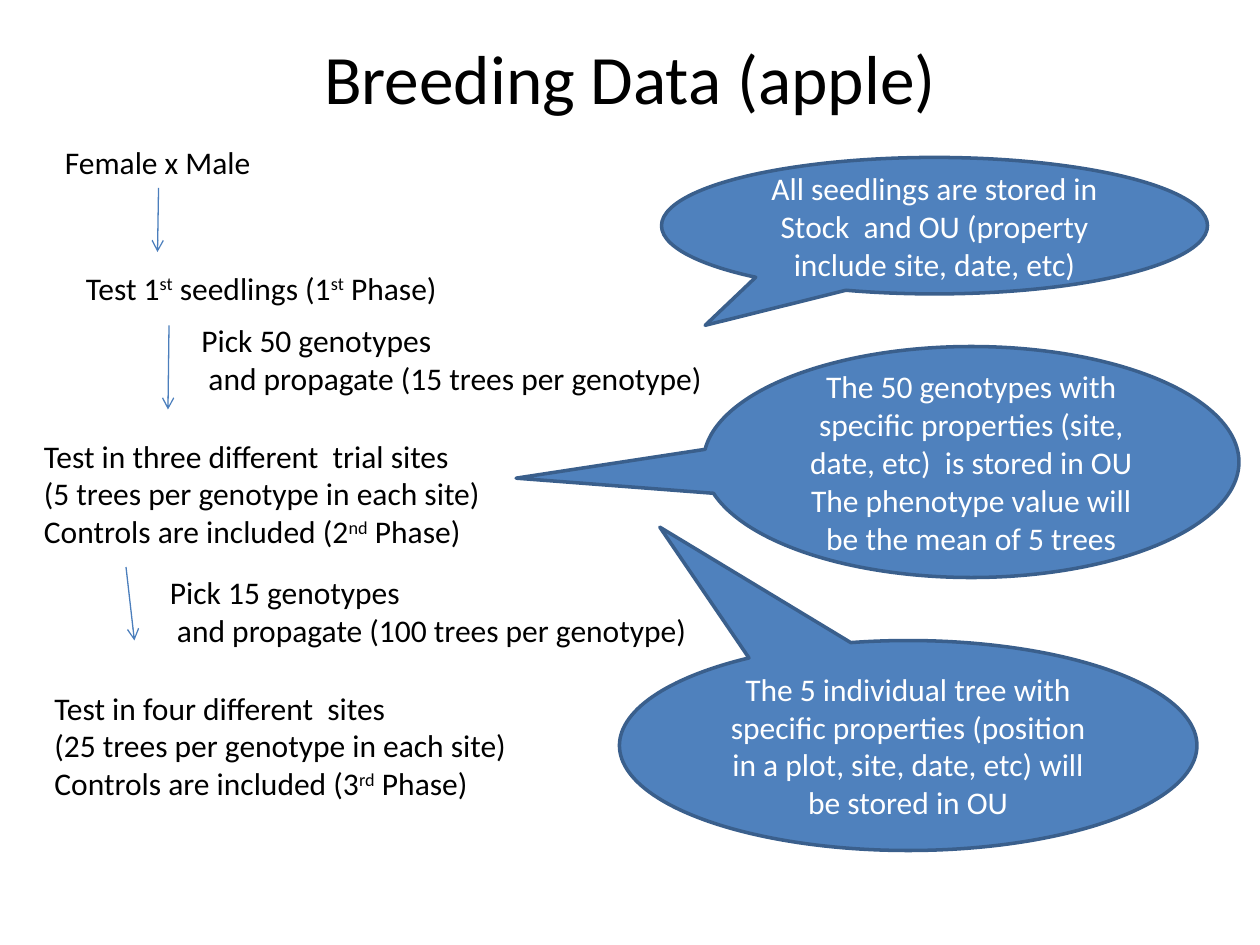
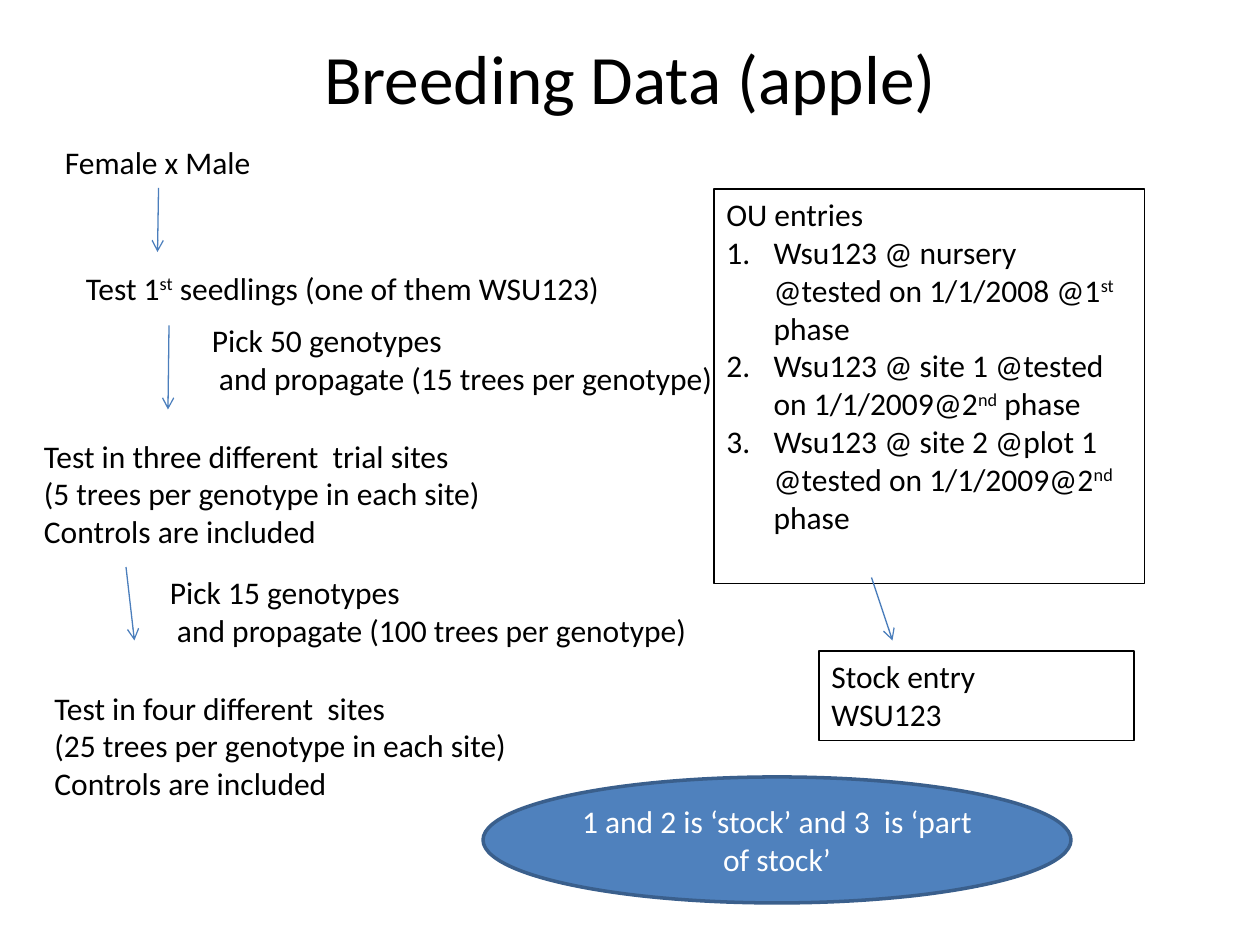
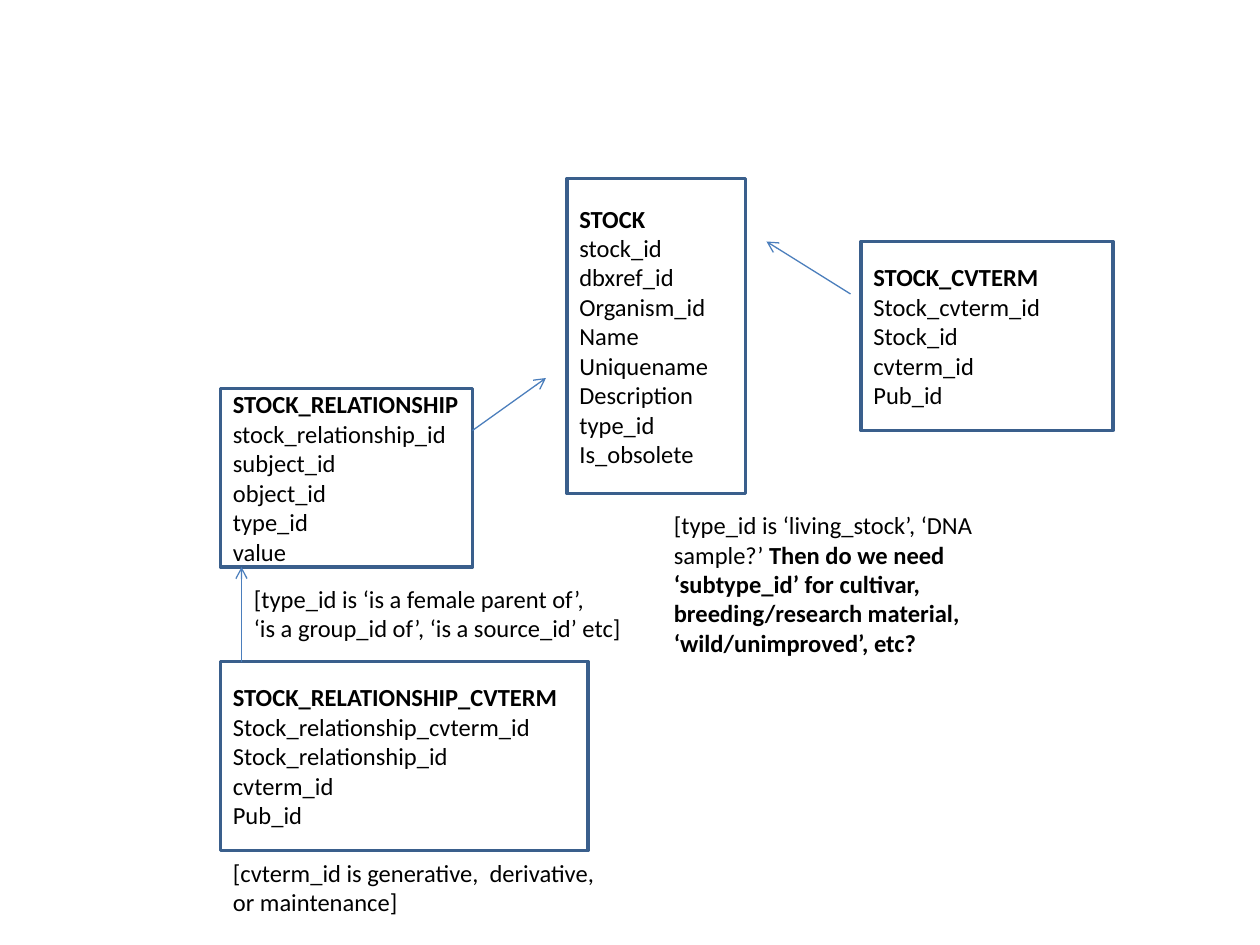
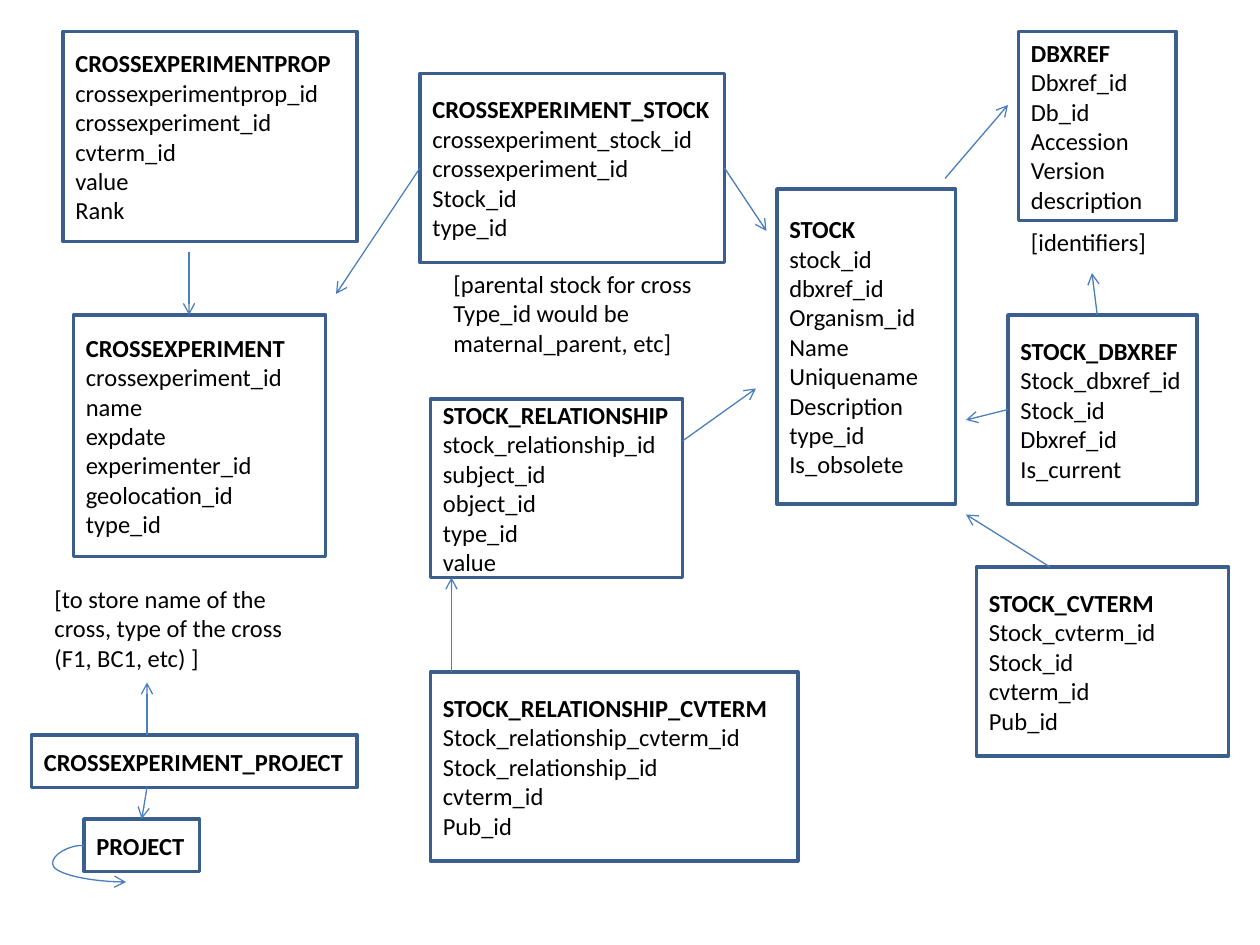
from pptx import Presentation, util as u
from pptx.dml.color import RGBColor
from pptx.enum import shapes, text
from pptx.oxml.ns import qn
from lxml import etree

PX = 7620  # 120 px to the inch
FONT = "Calibri"
BLACK = RGBColor(0x00, 0x00, 0x00)
WHITE = RGBColor(0xFF, 0xFF, 0xFF)
BLUE = RGBColor(0x4F, 0x81, 0xBD)
EDGE = RGBColor(0x3A, 0x5F, 0x8C)
ARROW = RGBColor(0x4B, 0x7E, 0xBC)
RAISED = ("baseline", "30000")
BOLD = ("b", "1")
OVAL = shapes.MSO_SHAPE.OVAL
CALLOUT = shapes.MSO_SHAPE.OVAL_CALLOUT
RECT = shapes.MSO_SHAPE.RECTANGLE
LINE = shapes.MSO_CONNECTOR.STRAIGHT
CURVE = shapes.MSO_CONNECTOR.CURVE


def put(slide, box, words, kind=None, size=18, mark=RAISED, wrap=True):
    """Add a text box, or a shape of the given kind; text between ^ signs gets the mark."""
    box = [n * PX for n in box]
    if kind is None:
        shape = slide.shapes.add_textbox(*box)
        ink, align = BLACK, text.PP_ALIGN.LEFT
    else:
        shape = slide.shapes.add_shape(kind, *box)
        shape.shadow.inherit = False
        shape.line.color.rgb = EDGE
        shape.line.width = u.Pt(2)
        shape.text_frame.vertical_anchor = text.MSO_ANCHOR.MIDDLE
        if kind == RECT:
            shape.fill.background()
            ink, align = BLACK, text.PP_ALIGN.LEFT
        else:
            shape.fill.solid()
            shape.fill.fore_color.rgb = BLUE
            ink, align = WHITE, text.PP_ALIGN.CENTER
    frame = shape.text_frame
    frame.word_wrap = wrap
    frame.text = words
    for para in frame.paragraphs:
        para.alignment = align
        parts = para.text.split("^")
        para.clear()
        for i, part in enumerate(parts):
            if not part:
                continue
            run = para.add_run()
            run.text = part
            run.font.name = FONT
            run.font.size = u.Pt(size)
            run.font.color.rgb = ink
            if i % 2:
                run._r.get_or_add_rPr().set(*mark)
    return shape


def arrow(slide, *ends, kind=LINE):
    line = slide.shapes.add_connector(kind, *[n * PX for n in ends])
    line.line.color.rgb = ARROW
    line.line.width = u.Pt(0.75)
    etree.SubElement(line.line._get_or_add_ln(), qn("a:tailEnd"), type="arrow")
    etree.SubElement(line._element.spPr, qn("a:effectLst"))
    return line


deck = Presentation()
deck.slide_width = 1200 * PX
deck.slide_height = 900 * PX
blank = deck.slide_layouts[6]

# Slides 1 and 2: the breeding steps, with and without phase names
flows = [
    ("(1^st^ Phase)", 366, 180, " (2^nd^ Phase)", " (3^rd^ Phase)"),
    ("(one of them WSU123)", 521, 190, "", ""),
]
pages = []
for first, wide, left, second, third in flows:
    page = deck.slides.add_slide(blank)
    pages.append(page)
    title = put(page, (60, 36, 1080, 74), "Breeding Data (apple)", size=39.6)
    title.text_frame.vertical_anchor = text.MSO_ANCHOR.MIDDLE
    title.text_frame.paragraphs[0].alignment = text.PP_ALIGN.CENTER
    steps = [
        ((50, 130, 203, 48), "Female x Male"),
        ((70, 250, wide, 48), "Test 1^st^ seedlings " + first),
        ((left, 300, 523, 85),
         "Pick 50 genotypes\n and propagate (15 trees per genotype)"),
        ((30, 410, 445, 121),
         "Test in three different  trial sites\n"
         "(5 trees per genotype in each site)\nControls are included" + second),
        ((150, 540, 539, 85),
         "Pick 15 genotypes\n and propagate (100 trees per genotype)"),
        ((40, 650, 460, 121),
         "Test in four different  sites\n"
         "(25 trees per genotype in each site)\nControls are included" + third),
    ]
    for box, words in steps:
        step = put(page, box, words, wrap=False)
        step.text_frame.auto_size = text.MSO_AUTO_SIZE.SHAPE_TO_FIT_TEXT
    for ends in [(151, 179, 150, 240), (161, 310, 160, 390), (120, 540, 128, 610)]:
        arrow(page, *ends)

# Slide 1: callouts
bubbles = [
    ((630, 150, 520, 130), (-0.42, 0.73),
     "All seedlings are stored in Stock  and OU (property include site, date, etc)"),
    ((670, 330, 510, 220), (-0.85, 0.07),
     "The 50 genotypes with specific properties (site, date, etc)  is stored in OU\n"
     "The phenotype value will be the mean of 5 trees"),
    ((590, 610, 550, 200), (-0.43, -1.04),
     "The 5 individual tree with specific properties (position in a plot, site, "
     "date, etc) will be stored in OU"),
]
for box, tip, words in bubbles:
    bubble = put(pages[0], box, words, CALLOUT)
    bubble.adjustments[0], bubble.adjustments[1] = tip

# Slide 2: entries
page = pages[1]
entries = put(page, (680, 180, 410, 376),
              "OU entries\n"
              "Wsu123 @ nursery @tested on 1/1/2008 @1^st^ phase\n"
              "Wsu123 @ site 1 @tested  on 1/1/2009@2^nd^ phase\n"
              "Wsu123 @ site 2 @plot 1 @tested on 1/1/2009@2^nd^ phase")
stock = put(page, (780, 620, 300, 85), "Stock entry\nWSU123")
for box in (entries, stock):
    box.line.color.rgb = BLACK
    box.line.width = u.Pt(0.75)
    for para in box.text_frame.paragraphs:
        props = para._p.get_or_add_pPr()
        props.set("marL", str(45 * PX))
        props.set("indent", str(-45 * PX))
for para in entries.text_frame.paragraphs[1:]:
    props = para._p.get_or_add_pPr()
    etree.SubElement(props, qn("a:buFont"), typeface="+mj-lt")
    etree.SubElement(props, qn("a:buAutoNum"), type="arabicPeriod")
arrow(page, 830, 550, 850, 610)
put(page, (460, 740, 560, 120), "1 and 2 is ‘stock’ and 3  is ‘part of stock’", OVAL)

# Slides 3 and 4: database tables, each with width, height and fields
tables = {
    "STOCK": (170, 300, "stock_id dbxref_id Organism_id Name Uniquename "
                        "Description type_id Is_obsolete"),
    "STOCK_RELATIONSHIP": (240, 170, "stock_relationship_id subject_id object_id "
                                     "type_id value"),
    "STOCK_CVTERM": (240, 180, "Stock_cvterm_id Stock_id cvterm_id Pub_id"),
    "STOCK_RELATIONSHIP_CVTERM": (350, 180, "Stock_relationship_cvterm_id "
                                            "Stock_relationship_id cvterm_id Pub_id"),
    "DBXREF": (150, 180, "Dbxref_id Db_id Accession Version description"),
    "STOCK_DBXREF": (180, 180, "Stock_dbxref_id Stock_id Dbxref_id Is_current"),
    "CROSSEXPERIMENT": (240, 230, "crossexperiment_id name expdate experimenter_id "
                                  "geolocation_id type_id"),
    "CROSSEXPERIMENTPROP": (280, 200, "crossexperimentprop_id crossexperiment_id "
                                      "cvterm_id value Rank"),
    "CROSSEXPERIMENT_STOCK": (290, 180, "crossexperiment_stock_id crossexperiment_id "
                                        "Stock_id type_id"),
    "CROSSEXPERIMENT_PROJECT": (310, 50, ""),
    "PROJECT": (110, 50, ""),
}
# Per slide: table places, notes, and arrows with the table and side they start from
schemas = [
    ({"STOCK": (540, 170), "STOCK_RELATIONSHIP": (210, 370),
      "STOCK_CVTERM": (820, 230), "STOCK_RELATIONSHIP_CVTERM": (210, 630)},
     [((230, 550, 380, 68),
       "[type_id is ‘is a female parent of’,\n‘is a group_id of’, ‘is a source_id’ etc]"),
      ((210, 811, 380, 68), "[cvterm_id is generative,  derivative, or maintenance]"),
      ((630, 480, 310, 154),
       "[type_id is ‘living_stock’, ‘DNA sample?’ ^Then do we need ‘subtype_id’ for "
       "cultivar, breeding/research material, ‘wild/unimproved’, etc?^")],
     [(810, 280, 730, 230), (450, 410, 520, 360), (230, 630, 230, 540)]),
    ({"STOCK": (740, 180), "STOCK_RELATIONSHIP": (410, 380), "DBXREF": (970, 30),
      "STOCK_CVTERM": (930, 540), "CROSSEXPERIMENT": (70, 300),
      "STOCK_DBXREF": (960, 300), "CROSSEXPERIMENTPROP": (60, 30),
      "CROSSEXPERIMENT_STOCK": (400, 70), "PROJECT": (80, 780),
      "CROSSEXPERIMENT_PROJECT": (30, 700), "STOCK_RELATIONSHIP_CVTERM": (410, 640)},
     [((970, 210, 140, 40), "[identifiers]"),
      ((420, 250, 260, 97),
       "[parental stock for cross\nType_id would be maternal_parent, etc]"),
      ((40, 550, 270, 97),
       "[to store name of the cross, type of the cross (F1, BC1, etc) ]")],
     [(1000, 540, 920, 490), (900, 170, 960, 100), (1045, 300, 1040, 260),
      (140, 700, 140, 650), (180, 240, 180, 300), (650, 420, 720, 370),
      (430, 640, 430, 550)]),
]
for places, notes, lines in schemas:
    page = deck.slides.add_slide(blank)
    made = {}
    for name, spot in places.items():
        wide, high, fields = tables[name]
        words = "\n".join([f"^{name}^"] + fields.split())
        made[name] = put(page, (*spot, wide, high), words, RECT, 14, BOLD)
    for box, words in notes:
        put(page, box, words, size=14, mark=BOLD)
    for ends in lines:
        arrow(page, *ends)

# Slide 4: arrows joined to tables, and the loop back to PROJECT
for name, side, ends in [
    ("CROSSEXPERIMENT_STOCK", 1, (400, 160, 320, 280)),
    ("CROSSEXPERIMENT_STOCK", 3, (690, 160, 730, 220)),
    ("STOCK_DBXREF", 1, (960, 390, 920, 400)),
]:
    arrow(page, *ends).begin_connect(made[name], side)
arrow(page, 140, 750, 135, 780).end_connect(made["PROJECT"], 0)
loop = arrow(page, 80, 805, 120, 840, kind=CURVE)
guides = loop._element.spPr.find(qn("a:prstGeom")).get_or_add_avLst()
etree.SubElement(guides, qn("a:gd"), name="adj1", fmla="val -75000")

deck.save("out.pptx")
